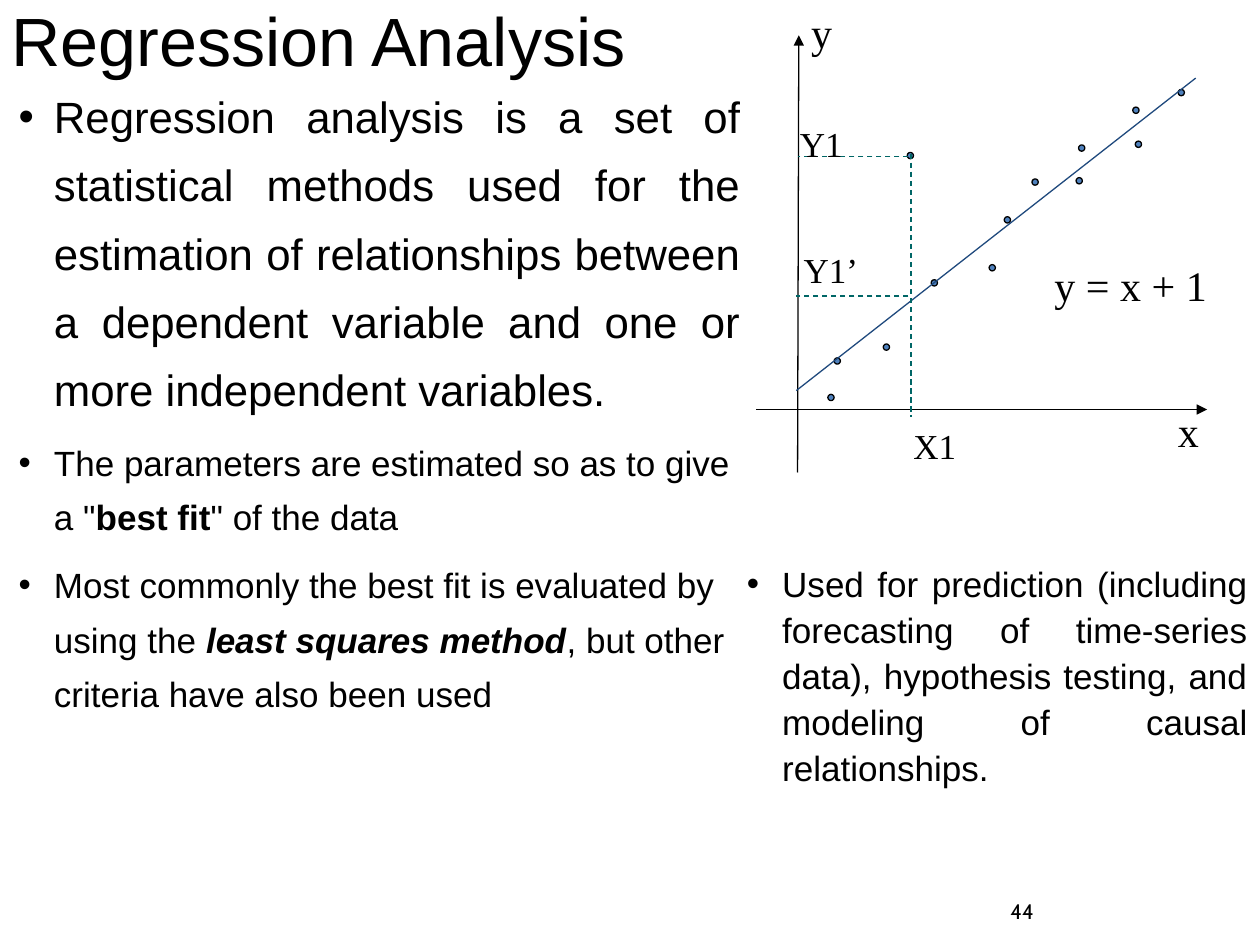
from lxml.etree import SubElement
from pptx import Presentation
from pptx.dml.color import RGBColor
from pptx.enum.dml import MSO_LINE
from pptx.enum.shapes import MSO_CONNECTOR, MSO_SHAPE
from pptx.enum.text import MSO_ANCHOR, PP_ALIGN
from pptx.oxml.ns import qn
from pptx.util import Inches, Pt

COLS, ROWS = 100, 75
BLACK, BLUE, NAVY, TEAL = "000000", "4F81BD", "1F497D", "006666"
SANS, SERIF, NUM = "Arial", "Times New Roman", "Cabin"


def color(code):
    return RGBColor.from_string(code)


class Page:
    """One slide on a grid of COLS by ROWS; all places are in grid cells."""

    def __init__(self, deck):
        self.slide = deck.slides.add_slide(deck.slide_layouts[6])
        self.shapes = self.slide.shapes
        self.wide = deck.slide_width / COLS
        self.high = deck.slide_height / ROWS

    def place(self, x, y, *more):
        """Turn x, y pairs in grid cells into slide units."""
        return [round(v * unit) for v, unit in
                zip((x, y, *more), (self.wide, self.high) * 2)]

    def style(self, run, size, face, bold=False, italic=False):
        font = run.font
        font.size, font.name = Pt(size), face
        font.bold, font.italic = bold, italic
        font.color.rgb = color(BLACK)

    def label(self, text, box, size, face=SERIF, wrap=False):
        shape = self.shapes.add_textbox(*self.place(*box))
        frame = shape.text_frame
        frame.word_wrap = wrap
        frame.text = text
        self.style(frame.paragraphs[0].runs[0], size, face)
        return frame

    def bullets(self, box, items, spacing):
        """Each item is (size, justified, [(text, bold, italic), ...])."""
        frame = self.shapes.add_textbox(*self.place(*box)).text_frame
        frame.word_wrap = True
        for i, (size, full, parts) in enumerate(items):
            para = frame.add_paragraph() if i else frame.paragraphs[0]
            self.bullet(para)
            para.line_spacing = spacing
            para.space_before = Pt(7.5 if i else 0)
            para.alignment = PP_ALIGN.JUSTIFY if full else PP_ALIGN.LEFT
            for text, bold, italic in parts:
                run = para.add_run()
                run.text = text
                self.style(run, size, SANS, bold, italic)

    def bullet(self, para):
        props = para._p.get_or_add_pPr()
        props.set("marL", str(Inches(0.28)))
        props.set("indent", str(-Inches(0.28)))
        tint = SubElement(props, qn("a:buClr"))
        SubElement(tint, qn("a:srgbClr"), val=BLACK)
        SubElement(props, qn("a:buFont"), typeface=SANS)
        SubElement(props, qn("a:buChar"), char="•")

    def line(self, start, end, tint, dash=False, arrow=False):
        link = self.shapes.add_connector(
            MSO_CONNECTOR.STRAIGHT, *self.place(*start), *self.place(*end))
        link.line.color.rgb = color(tint)
        link.line.width = Pt(0.75)
        if dash:
            link.line.dash_style = MSO_LINE.DASH
        if arrow:
            SubElement(link.line._get_or_add_ln(), qn("a:tailEnd"),
                       type="triangle")
        SubElement(link._element.spPr, qn("a:effectLst"))

    def dot(self, x, y, size=0.5):
        shape = self.shapes.add_shape(
            MSO_SHAPE.OVAL, *self.place(x, y, size, size))
        shape.shadow.inherit = False
        shape.fill.solid()
        shape.fill.fore_color.rgb = color(BLUE)
        shape.line.color.rgb = color(BLACK)
        shape.line.width = Pt(0.75)


def main():
    deck = Presentation()
    deck.slide_width, deck.slide_height = Inches(10), Inches(7.5)
    page = Page(deck)

    title = page.label("Regression Analysis", (-0.1, 1.1, 86.2, 4.8), 39,
                       SANS, wrap=True)
    title.vertical_anchor = MSO_ANCHOR.MIDDLE
    title.paragraphs[0].line_spacing = 0.9

    page.bullets((0.5, 5.4, 59.2, 56.7), [
        (25, True, [("Regression analysis is a set of statistical methods "
                     "used for the estimation of relationships between a "
                     "dependent variable and one or more independent "
                     "variables.", False, False)]),
        (20, False, [('The parameters are estimated so as to give a "',
                      False, False),
                     ("best fit", True, False),
                     ('" of the data', False, False)]),
        (20, False, [("Most commonly the best fit is evaluated by using the ",
                      False, False),
                     ("least squares method", True, True),
                     (", but other criteria have also been used",
                      False, False)]),
    ], 1.3)
    page.bullets((58.3, 43.8, 41.7, 20.8), [
        (20, True, [("Used for prediction (including forecasting of "
                     "time-series data), hypothesis testing, and modeling "
                     "of causal relationships.", False, False)]),
    ], 1.1)
    page.label("44", (79.2, 70.8, 20.8, 4.2), 12, NUM, wrap=True)

    page.line((60, 32.5), (95.8, 32.5), BLACK, arrow=True)
    page.line((63.3, 37.5), (63.4, 2.8), BLACK, arrow=True)
    for x, y in [(78.5, 21), (73.9, 22.2), (72, 12.1), (70.1, 27.3),
                 (79.7, 17.2), (81.9, 14.2), (66.2, 28.4), (85.4, 14.1),
                 (85.6, 11.5), (90.1, 11.2), (65.7, 31.3), (89.9, 8.5),
                 (93.5, 7.1)]:
        page.dot(x, y)
    page.line((63.2, 31), (94.9, 6.2), NAVY)
    for start, end in [((72.3, 12.2), (72.3, 33.1)),
                       ((72.1, 12.4), (63.3, 12.4)),
                       ((72.1, 23.5), (63.2, 23.5))]:
        page.line(start, end, TEAL, dash=True)

    for text, box, size in [("y", (63.4, 0, 3.6, 5), 24),
                            ("x", (92.5, 31.7, 3.6, 5), 24),
                            ("y = x + 1", (82.7, 20.1, 14.1, 5), 24),
                            ("X1", (71.5, 33.2, 5.4, 4.4), 20),
                            ("Y1", (62.5, 9.2, 5.4, 4.4), 20),
                            ("Y1’", (62.8, 19.2, 6.3, 4.4), 20)]:
        page.label(text, box, size)

    deck.save("out.pptx")


if __name__ == "__main__":
    main()
